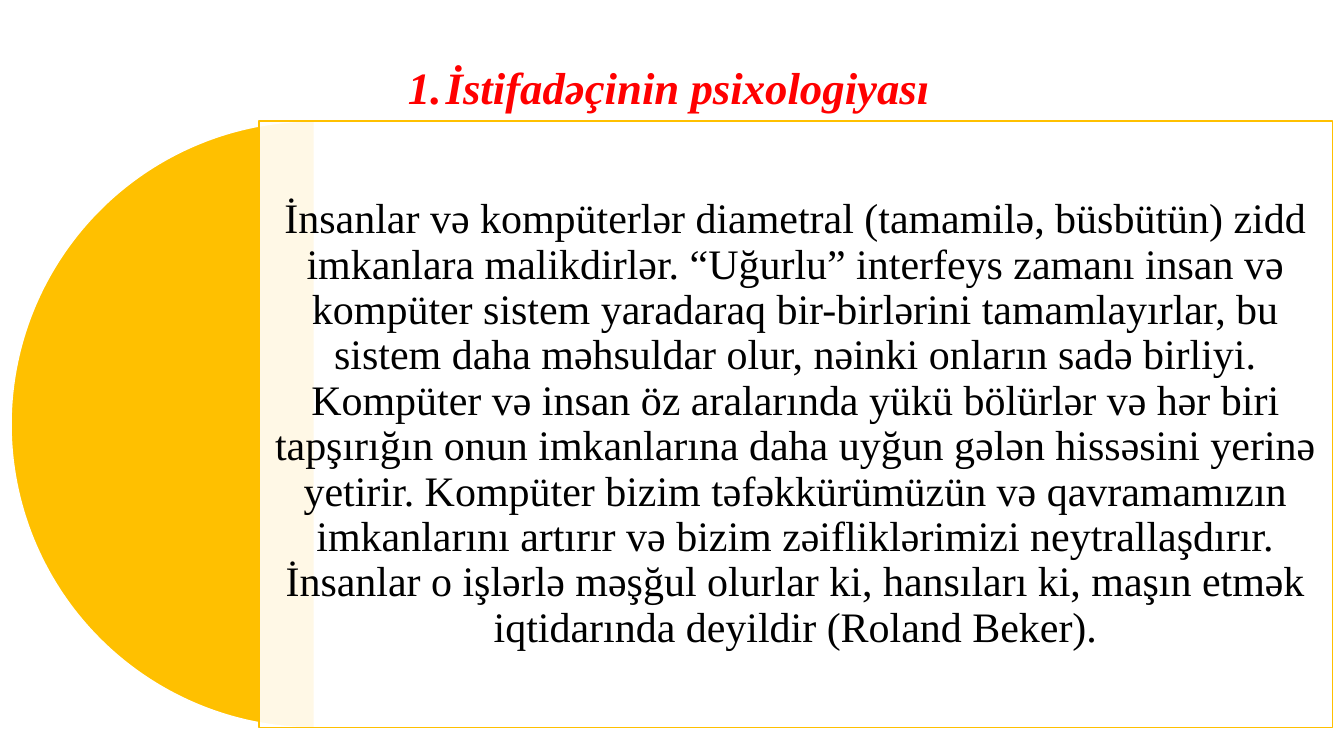
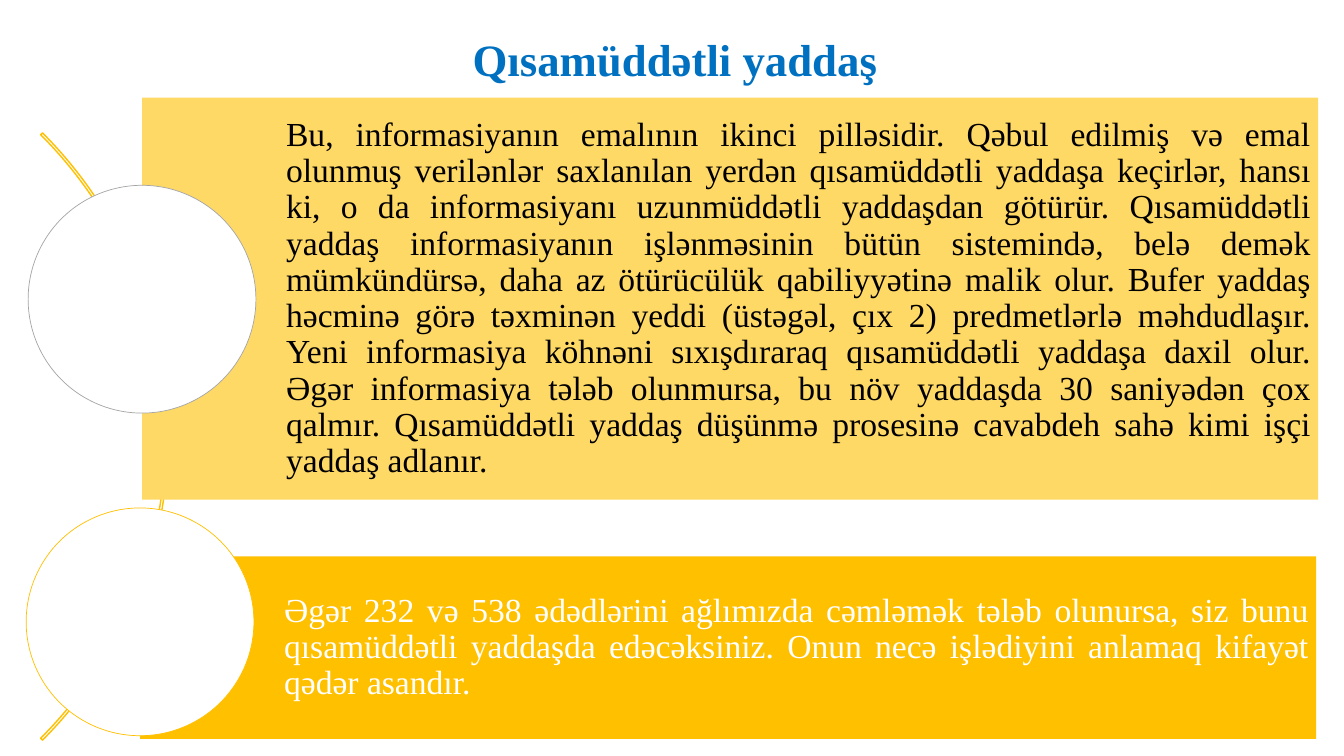
from lxml import etree
from pptx import Presentation
from pptx.dml.color import RGBColor
from pptx.enum.shapes import MSO_SHAPE
from pptx.enum.text import MSO_ANCHOR, MSO_AUTO_SIZE, PP_ALIGN
from pptx.oxml.ns import qn
from pptx.util import Cm, Pt

PIE, ARC = MSO_SHAPE.PIE, MSO_SHAPE.BLOCK_ARC
RECTANGLE, OVAL = MSO_SHAPE.RECTANGLE, MSO_SHAPE.OVAL
CENTER, JUSTIFY = PP_ALIGN.CENTER, PP_ALIGN.JUSTIFY
MIDDLE, GROW = MSO_ANCHOR.MIDDLE, MSO_AUTO_SIZE.SHAPE_TO_FIT_TEXT

FONT = "Times New Roman"
GOLD, PALE_GOLD, GRAY = "FFC000", "FFD966", "A5A5A5"
WHITE, BLACK = "FFFFFF", "000000"
RED, BLUE, PURPLE = "FF0000", "0070C0", "7030A0"

HUMAN_AND_COMPUTER = (
    "İnsanlar və kompüterlər diametral (tamamilə, büsbütün) zidd imkanlara malikdirlər. "
    "“Uğurlu” interfeys zamanı insan və kompüter sistem yaradaraq bir-birlərini "
    "tamamlayırlar, bu sistem daha məhsuldar olur, nəinki onların sadə birliyi. "
    "Kompüter və insan öz aralarında yükü bölürlər və hər biri tapşırığın onun "
    "imkanlarına daha uyğun gələn hissəsini yerinə yetirir. Kompüter bizim "
    "təfəkkürümüzün və qavramamızın imkanlarını artırır və bizim zəifliklərimizi "
    "neytrallaşdırır. İnsanlar o işlərlə məşğul olurlar ki, hansıları ki, maşın etmək "
    "iqtidarında deyildir (Roland Beker)."
)
SHORT_TERM_MEMORY = (
    "Bu, informasiyanın emalının ikinci pilləsidir. Qəbul edilmiş və emal olunmuş "
    "verilənlər saxlanılan yerdən qısamüddətli yaddaşa keçirlər, hansı ki, o da "
    "informasiyanı uzunmüddətli yaddaşdan götürür. Qısamüddətli yaddaş informasiyanın "
    "işlənməsinin bütün sistemində, belə demək mümkündürsə, daha az ötürücülük "
    "qabiliyyətinə malik olur. Bufer yaddaş həcminə görə təxminən yeddi (üstəgəl, çıx 2) "
    "predmetlərlə məhdudlaşır. Yeni informasiya köhnəni sıxışdıraraq qısamüddətli "
    "yaddaşa daxil olur. Əgər informasiya tələb olunmursa, bu növ yaddaşda 30 saniyədən "
    "çox qalmır. Qısamüddətli yaddaş düşünmə prosesinə cavabdeh sahə kimi işçi yaddaş "
    "adlanır."
)
ADDITION_EXAMPLE = (
    "Əgər 232 və 538 ədədlərini ağlımızda cəmləmək tələb olunursa, siz bunu qısamüddətli "
    "yaddaşda edəcəksiniz. Onun necə işlədiyini anlamaq kifayət qədər asandır."
)


def color(value):
    return RGBColor.from_string(value)


class Slides:
    """Holds the deck style and the slide being filled."""

    def __init__(self):
        self.deck = Presentation()
        self.deck.slide_width, self.deck.slide_height = Cm(33.87), Cm(19.05)
        self.page = None

    def new_page(self):
        self.page = self.deck.slides.add_slide(self.deck.slide_layouts[6])

    def set_text(self, frame, text, size, ink, align, spacing):
        frame.text = text
        para = frame.paragraphs[0]
        para.alignment, para.line_spacing = align, spacing
        span = para.runs[0]
        span.font.name, span.font.size = FONT, Pt(size)
        span.font.color.rgb = color(ink)
        return para, span

    def title(self, text, left, top, width, ink, margin, indent):
        box = self.page.shapes.add_textbox(Cm(left), Cm(top), Cm(width), Cm(2.08))
        frame = box.text_frame
        frame.word_wrap, frame.auto_size = False, GROW
        para, span = self.set_text(frame, text, 32, ink, JUSTIFY, 1.5)
        span.font.bold = True
        props = para._p.get_or_add_pPr()
        props.set("marL", str(Cm(margin)))
        props.set("indent", str(Cm(indent)))
        return para, span

    def numbered_title(self, *args):
        para, span = self.title(*args)
        span.font.italic = True
        props = para._p.get_or_add_pPr()
        etree.SubElement(props, qn("a:buFont"), typeface="+mj-lt")
        etree.SubElement(props, qn("a:buAutoNum"), type="arabicPeriod")
        outline = etree.Element(qn("a:ln"), w=str(Pt(0.75)))
        fill = etree.SubElement(outline, qn("a:solidFill"))
        etree.SubElement(fill, qn("a:srgbClr"), val=PURPLE)
        span._r.get_or_add_rPr().insert(0, outline)

    def shape(self, kind, left, top, width, height, fill=None, line=None, weight=1, angles=()):
        shape = self.page.shapes.add_shape(kind, Cm(left), Cm(top), Cm(width), Cm(height))
        shape.shadow.inherit = False
        for index, angle in enumerate(angles):
            shape.adjustments[index] = angle
        if fill:
            shape.fill.solid()
            shape.fill.fore_color.rgb = color(fill)
        else:
            shape.fill.background()
        if line:
            shape.line.color.rgb = color(line)
            shape.line.width = Pt(weight)
        else:
            shape.line.fill.background()
        return shape

    def panel(self, text, place, fill, size, ink, align, inset, left_inset, line=None, opacity=100):
        panel = self.shape(RECTANGLE, *place, fill, line)
        if opacity < 100:
            tint = panel.element.spPr.find(qn("a:solidFill")).find(qn("a:srgbClr"))
            etree.SubElement(tint, qn("a:alpha"), val=str(opacity * 1000))
        frame = panel.text_frame
        frame.word_wrap, frame.vertical_anchor = True, MIDDLE
        frame.margin_top = frame.margin_right = frame.margin_bottom = Cm(inset)
        frame.margin_left = Cm(left_inset)
        self.set_text(frame, text, size, ink, align, 0.9)

    def circle_panel(self, text, left, top, height, circle_top, fill, ink, ring):
        diameter = 5.74
        self.panel(text, (left, top, 29.64, height), fill, 24, ink, JUSTIFY, 0.18, 3.63)
        self.shape(OVAL, left - diameter / 2, circle_top, diameter, diameter, WHITE, ring, 0.5)


def main():
    slides = Slides()

    slides.new_page()
    slides.numbered_title("İstifadəçinin psixologiyası", 10.03, 0.71, 13.79, RED, 0.95, -0.95)
    slides.shape(PIE, 0.28, 3.05, 15.29, 15.29, GOLD, WHITE, angles=(54, 162))
    slides.panel(HUMAN_AND_COMPUTER, (6.53, 3.05, 27.05, 15.29), WHITE, 30, BLACK, CENTER,
                 0.3, 0.3, line=GOLD, opacity=90)

    slides.new_page()
    slides.title("Qısamüddətli yaddaş", 9.12, 0, 13.36, BLUE, 1.27, 1.27)
    slides.shape(ARC, -17.4, 0.18, 21.64, 21.64, line=GOLD, angles=(189, 27, 0.003))
    slides.circle_panel(SHORT_TERM_MEMORY, 3.58, 2.46, 10.13, 4.67, PALE_GOLD, BLACK, GRAY)
    slides.circle_panel(ADDITION_EXAMPLE, 3.53, 14.02, 4.6, 12.8, GOLD, WHITE, GOLD)

    slides.deck.save("out.pptx")


if __name__ == "__main__":
    main()
